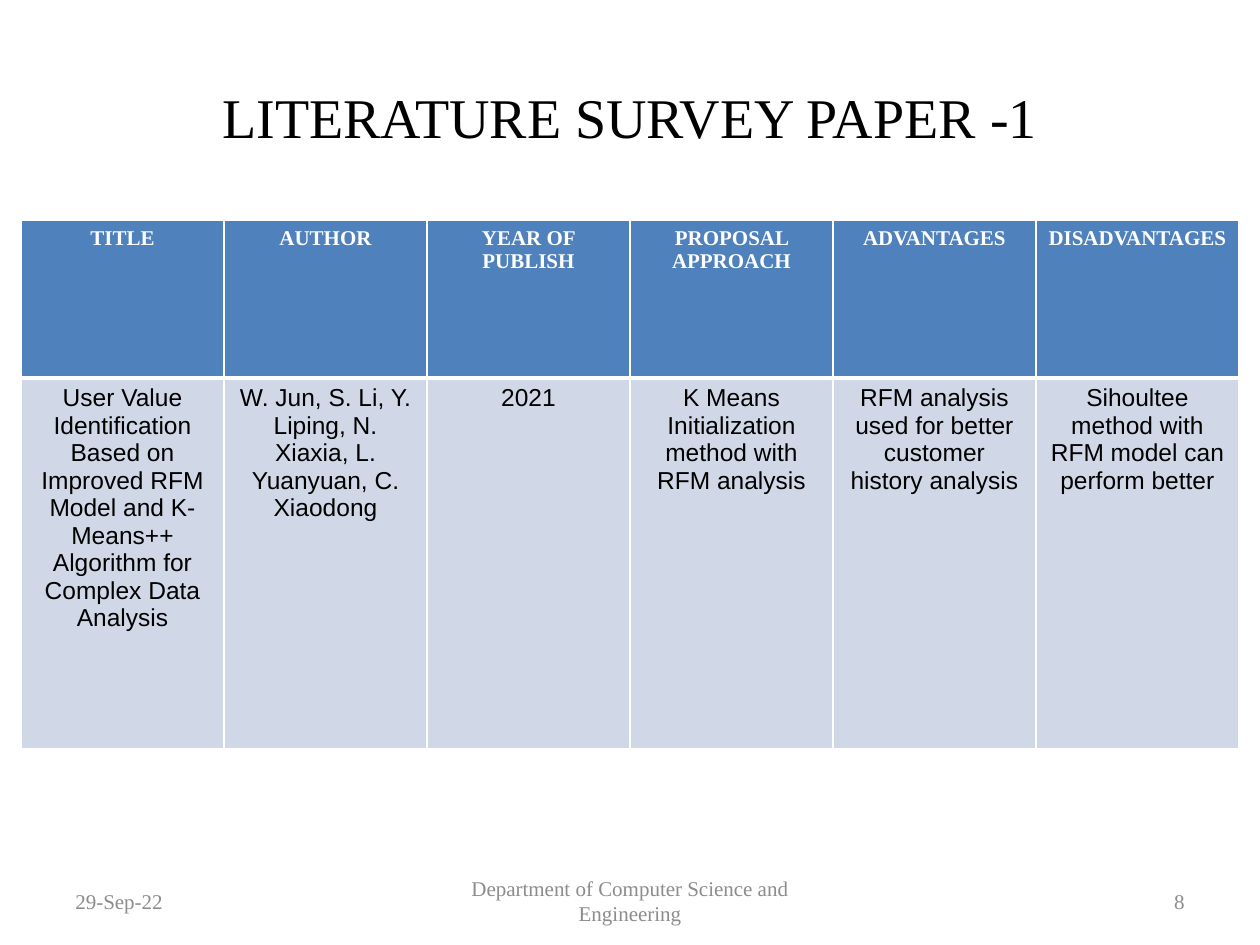
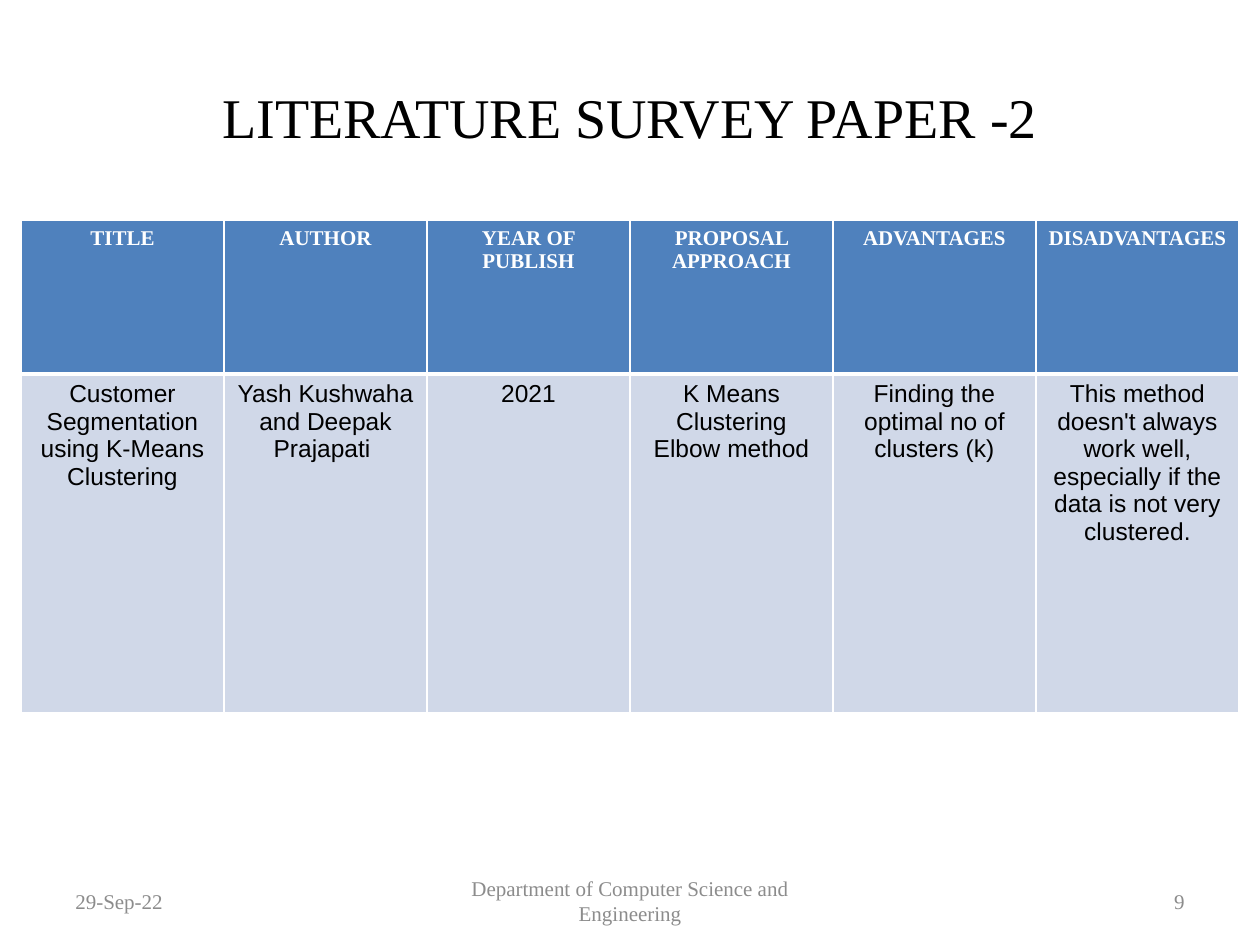
import pptx
import pptx.util
import pptx.dml.color
import pptx.enum.text
import pptx.oxml
import pptx.oxml.ns
from dataclasses import dataclass

ALIGN = pptx.enum.text.PP_ALIGN
MIDDLE = pptx.enum.text.MSO_ANCHOR.MIDDLE


@dataclass(frozen=True)
class TextStyle:
    font: str
    size: int
    color: str
    bold: bool = False


class Theme:
    width = pptx.util.Inches(10)
    height = pptx.util.Inches(7.5)
    title = TextStyle("Times New Roman", 32, "000000")
    footer = TextStyle("Times New Roman", 12, "8C8C8C")
    header = TextStyle("Times New Roman", 12, "FFFFFF", True)
    body = TextStyle("Arial", 14, "000000")
    header_fill = "4F81BD"
    body_fill = "D0D8E8"
    border = "FFFFFF"
    thin, thick = 1, 3


# Areas are left, top, width, height in percent of the slide
TITLE_AREA = (5, 4, 90, 16.67)
DATE_AREA = (5, 92.67, 23.33, 5.33)
DEPARTMENT_AREA = (34.17, 92.67, 31.67, 5.33)
NUMBER_AREA = (71.67, 92.67, 23.33, 5.33)
TABLE_LEFT, TABLE_TOP, TABLE_WIDTH = 1.67, 23.33, 96.67

HEADERS = ["TITLE", "AUTHOR", "YEAR OF PUBLISH", "PROPOSAL APPROACH",
           "ADVANTAGES", "DISADVANTAGES"]

# Row heights are in percent of the slide height; a line break parts paragraphs
PAPERS = [
    {"page": 8, "row_heights": (16.67, 39.2), "details": [
        "User Value Identification Based on Improved RFM Model and K-Means++ "
        "Algorithm for Complex Data Analysis",
        "W. Jun, S. Li, Y. Liping, N. Xiaxia, L. Yuanyuan, C. Xiaodong",
        "2021",
        "K Means Initialization method with RFM analysis",
        "RFM analysis used for better customer history analysis",
        "Sihoultee method with RFM model can perform better"]},
    {"page": 9, "row_heights": (16.27, 35.87), "details": [
        "Customer Segmentation using K-Means Clustering",
        "Yash Kushwaha and Deepak Prajapati ",
        "2021",
        "K Means Clustering\nElbow method",
        "Finding the optimal no of clusters (k)",
        "This method doesn't always work well, especially if the data is not "
        "very clustered."]},
]


def across(percent):
    return round(Theme.width * percent / 100)


def down(percent):
    return round(Theme.height * percent / 100)


def write(text_frame, text, style, alignment):
    for index, line in enumerate(text.split("\n")):
        paragraph = text_frame.add_paragraph() if index else text_frame.paragraphs[0]
        paragraph.alignment = alignment
        run = paragraph.add_run()
        run.text = line
        run.font.name = style.font
        run.font.size = pptx.util.Pt(style.size)
        run.font.bold = style.bold
        run.font.color.rgb = pptx.dml.color.RGBColor.from_string(style.color)


def add_text(slide, area, text, style, alignment):
    left, top, width, height = area
    box = slide.shapes.add_textbox(across(left), down(top), across(width), down(height))
    box.text_frame.word_wrap = True
    box.text_frame.vertical_anchor = MIDDLE
    write(box.text_frame, text, style, alignment)


def add_borders(cell, top, bottom):
    properties = cell._tc.get_or_add_tcPr()
    sides = {"L": Theme.thin, "R": Theme.thin, "T": top, "B": bottom}
    for side, points in sides.items():
        properties.append(pptx.oxml.parse_xml(
            f'<a:ln{side} {pptx.oxml.ns.nsdecls("a")} w="{pptx.util.Pt(points)}">'
            f'<a:solidFill><a:srgbClr val="{Theme.border}"/></a:solidFill></a:ln{side}>'))


def fill_row(table, row, texts, style, fill, top, bottom):
    for column, text in enumerate(texts):
        cell = table.cell(row, column)
        write(cell.text_frame, text, style, ALIGN.CENTER)
        add_borders(cell, top, bottom)
        cell.fill.solid()
        cell.fill.fore_color.rgb = pptx.dml.color.RGBColor.from_string(fill)


def add_paper_table(slide, paper):
    heights = paper["row_heights"]
    table = slide.shapes.add_table(
        len(heights), len(HEADERS), across(TABLE_LEFT), down(TABLE_TOP),
        across(TABLE_WIDTH), down(sum(heights))).table
    for column in table.columns:
        column.width = across(TABLE_WIDTH / len(HEADERS))
    for row, height in zip(table.rows, heights):
        row.height = down(height)
    fill_row(table, 0, HEADERS, Theme.header, Theme.header_fill, Theme.thin, Theme.thick)
    fill_row(table, 1, paper["details"], Theme.body, Theme.body_fill,
             Theme.thick, Theme.thin)


def add_footer(slide, page):
    add_text(slide, DATE_AREA, "29-Sep-22", Theme.footer, ALIGN.LEFT)
    add_text(slide, DEPARTMENT_AREA, "Department of Computer Science and Engineering",
             Theme.footer, ALIGN.CENTER)
    add_text(slide, NUMBER_AREA, str(page), Theme.footer, ALIGN.RIGHT)


def main():
    presentation = pptx.Presentation()
    presentation.slide_width = Theme.width
    presentation.slide_height = Theme.height
    blank_layout = presentation.slide_layouts[6]

    # One slide for each surveyed paper
    for number, paper in enumerate(PAPERS, start=1):
        slide = presentation.slides.add_slide(blank_layout)
        add_text(slide, TITLE_AREA, f"LITERATURE SURVEY PAPER -{number}",
                 Theme.title, ALIGN.CENTER)
        add_footer(slide, paper["page"])
        add_paper_table(slide, paper)

    presentation.save("out.pptx")


if __name__ == "__main__":
    main()
